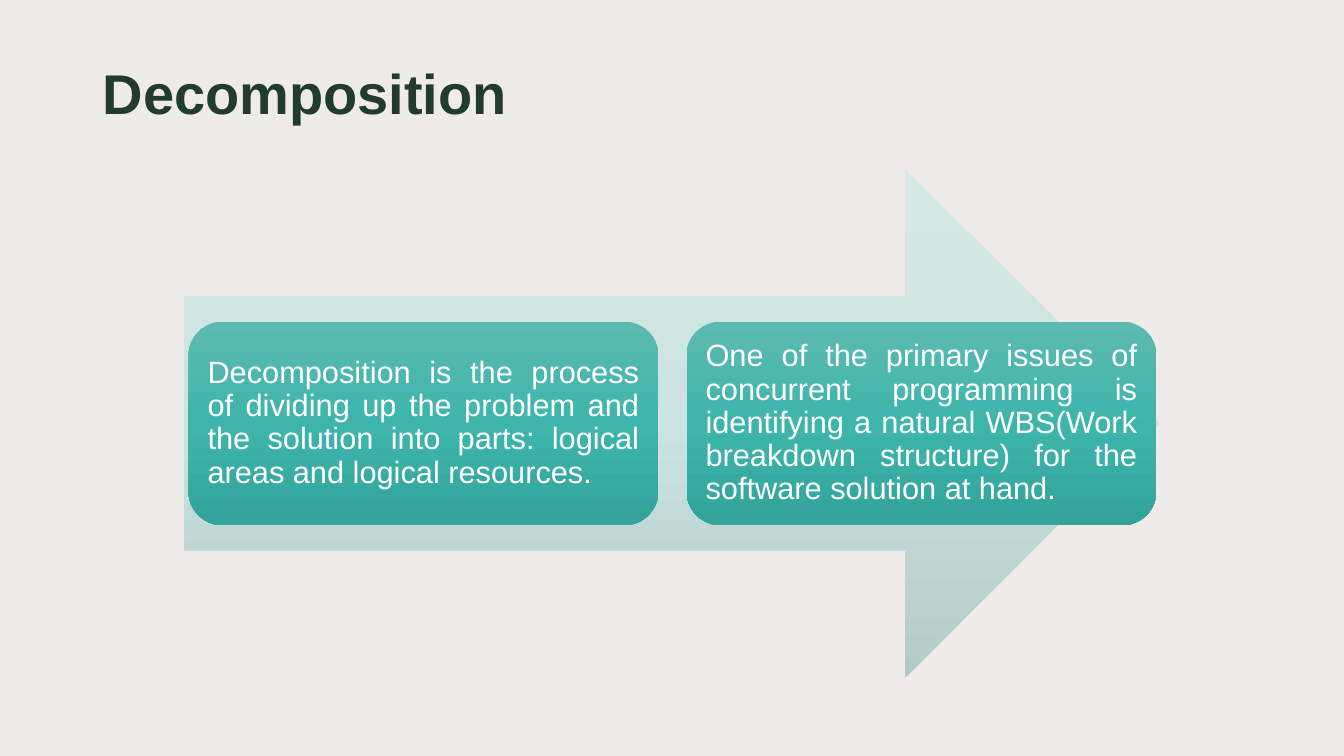
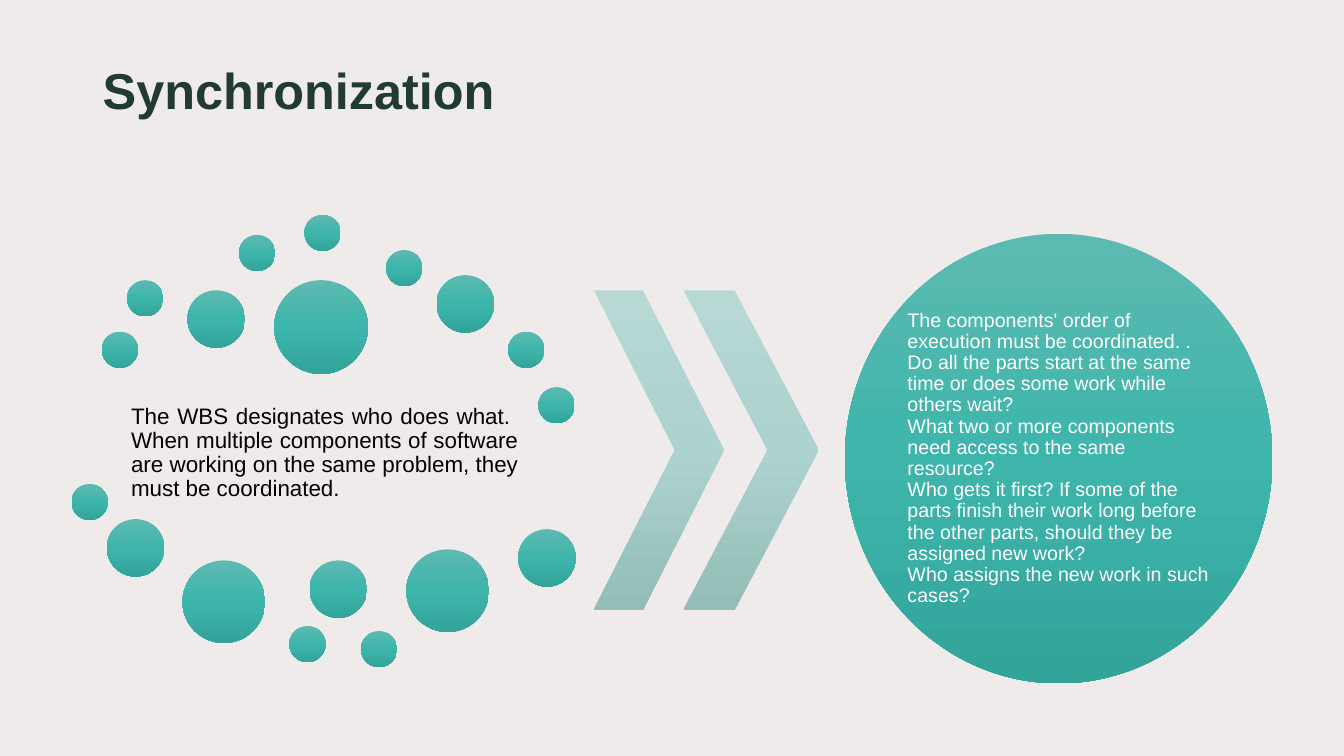
from copy import deepcopy

from pptx import Presentation
from pptx.dml.color import RGBColor
from pptx.enum.shapes import MSO_SHAPE
from pptx.enum.text import MSO_ANCHOR, PP_ALIGN
from pptx.oxml.ns import qn
from pptx.util import Emu, Pt

ARROW = MSO_SHAPE.RIGHT_ARROW
CARD = MSO_SHAPE.ROUNDED_RECTANGLE
CHEVRON = MSO_SHAPE.CHEVRON
OVAL = MSO_SHAPE.OVAL
TOP, MIDDLE = MSO_ANCHOR.TOP, MSO_ANCHOR.MIDDLE
LEFT, JUSTIFY = PP_ALIGN.LEFT, PP_ALIGN.JUSTIFY

EMU_PER_PX = 9144
SLIDE_SIZE = (1333, 750)
BLANK_LAYOUT = 6
FONT = "Arial"
BACKDROP, TITLE_GREEN, WHITE, BLACK = "EFEBEB", "213B31", "FFFFFF", "000000"
TEAL = ("5DBAB1", "3DB5AB", "32A49A")
PALE_TEAL = ("D5E8E6", "CCE3E0", "B2CAC8")
MID_TEAL = ("B7D8D4", "ACD3CF", "95BDB8")
DOWNWARD = 270

SMALL, MEDIUM, LARGE, HUGE = 36, 57, 82, 93
DOTS = {
    SMALL: [(101, 329), (126, 278), (237, 233), (302, 213), (383, 248), (504, 329),
            (534, 384), (71, 480), (287, 621), (358, 626)],
    MEDIUM: [(186, 288), (433, 273), (106, 515), (307, 556), (514, 525)],
    LARGE: [(181, 556), (403, 545)],
    HUGE: [(272, 278)],
}

DECOMPOSITION_POINTS = [
    "Decomposition is the process of dividing up the problem and the solution into "
    "parts: logical areas and logical resources.",
    "One of the primary issues of concurrent programming is identifying a natural "
    "WBS(Work breakdown structure) for the software solution at hand.",
]
COORDINATION = (
    "The WBS designates who does what. \n"
    "When multiple components of software are working on the same problem, "
    "they must be coordinated."
)
QUESTIONS = (
    "The components' order of execution must be coordinated. . Do all the parts start "
    "at the same time or does some work while others wait? \n"
    "What two or more components need access to the same resource? \n"
    "Who gets it first? If some of the parts finish their work long before the other "
    "parts, should they be assigned new work? \n"
    "Who assigns the new work in such cases?"
)


def px(length):
    """Convert px to EMU."""
    return Emu(length * EMU_PER_PX)


def rgb(value):
    """Turn a hex string into a colour."""
    return RGBColor.from_string(value)


def write_text(shape, text, size, color, bold=False, align=LEFT, anchor=MIDDLE, insets=(0, 0)):
    """Write one formatted paragraph, keeping its line breaks."""
    frame = shape.text_frame
    frame.word_wrap = True
    frame.vertical_anchor = anchor
    frame.margin_left = frame.margin_right = px(insets[0])
    frame.margin_top = frame.margin_bottom = px(insets[1])
    paragraph = frame.paragraphs[0]
    paragraph.text = text
    paragraph.alignment = align
    paragraph.line_spacing = 0.9
    for run in paragraph.runs:
        run.font.name = FONT
        run.font.size = Pt(size)
        run.font.bold = bold
        run.font.color.rgb = rgb(color)
    run_format = next(shape.element.iter(qn("a:rPr")))
    for line_break in list(shape.element.iter(qn("a:br"))):
        line_break.insert(0, deepcopy(run_format))


def add_text(slide, box, text, **text_format):
    """Add a text box."""
    write_text(slide.shapes.add_textbox(*map(px, box)), text, **text_format)


def add_gradient_shape(slide, preset, box, colors, adjustments=()):
    """Add a borderless shape shaded from top to bottom in three colours."""
    shape = slide.shapes.add_shape(preset, *map(px, box))
    shape.shadow.inherit = False
    shape.line.fill.background()
    for index, value in enumerate(adjustments):
        shape.adjustments[index] = value
    shape.fill.gradient()
    shape.fill.gradient_angle = DOWNWARD
    stop_list = next(shape.element.iter(qn("a:gsLst")))
    stop_list.insert(1, deepcopy(stop_list[0]))
    for stop, color, position in zip(shape.fill.gradient_stops, colors, (0, 0.5, 1)):
        stop.color.rgb = rgb(color)
        stop.position = position
    return shape


def add_titled_slide(prs, title, size):
    """Add a blank slide with its title."""
    slide = prs.slides.add_slide(prs.slide_layouts[BLANK_LAYOUT])
    add_text(slide, (92, 61, 1132, 140), title, size=size, color=TITLE_GREEN,
             bold=True, anchor=TOP, insets=(10, 5))
    return slide


def build_decomposition(prs):
    """Build the arrow with its two cards."""
    slide = add_titled_slide(prs, "Decomposition", 40)
    add_gradient_shape(slide, ARROW, (183, 168, 967, 504), PALE_TEAL, (0.5, 0.5))
    for index, point in enumerate(DECOMPOSITION_POINTS):
        card = add_gradient_shape(slide, CARD, (187 + 494 * index, 319, 466, 202), TEAL, (0.167,))
        write_text(card, point, size=22, color=WHITE, align=JUSTIFY, insets=(9, 9))


def build_synchronization(prs):
    """Build the ring of dots, the chevrons and the circle of questions."""
    slide = add_titled_slide(prs, "Synchronization", 36)
    add_text(slide, (128, 375, 388, 149), COORDINATION, size=16, color=BLACK,
             align=JUSTIFY, insets=(2, 2))
    for diameter, corners in DOTS.items():
        for left, top in corners:
            add_gradient_shape(slide, OVAL, (left, top, diameter, diameter), TEAL)
    for left, width in ((589, 129), (678, 134)):
        add_gradient_shape(slide, CHEVRON, (left, 288, width, 317), MID_TEAL, (0.623,))
    circle = add_gradient_shape(slide, OVAL, (838, 232, 424, 446), TEAL)
    write_text(circle, QUESTIONS, size=14, color=WHITE)


def main():
    """Build and save the presentation."""
    prs = Presentation()
    prs.slide_width, prs.slide_height = map(px, SLIDE_SIZE)
    backdrop = prs.slide_master.background.fill
    backdrop.solid()
    backdrop.fore_color.rgb = rgb(BACKDROP)
    build_decomposition(prs)
    build_synchronization(prs)
    prs.save("out.pptx")


if __name__ == "__main__":
    main()
